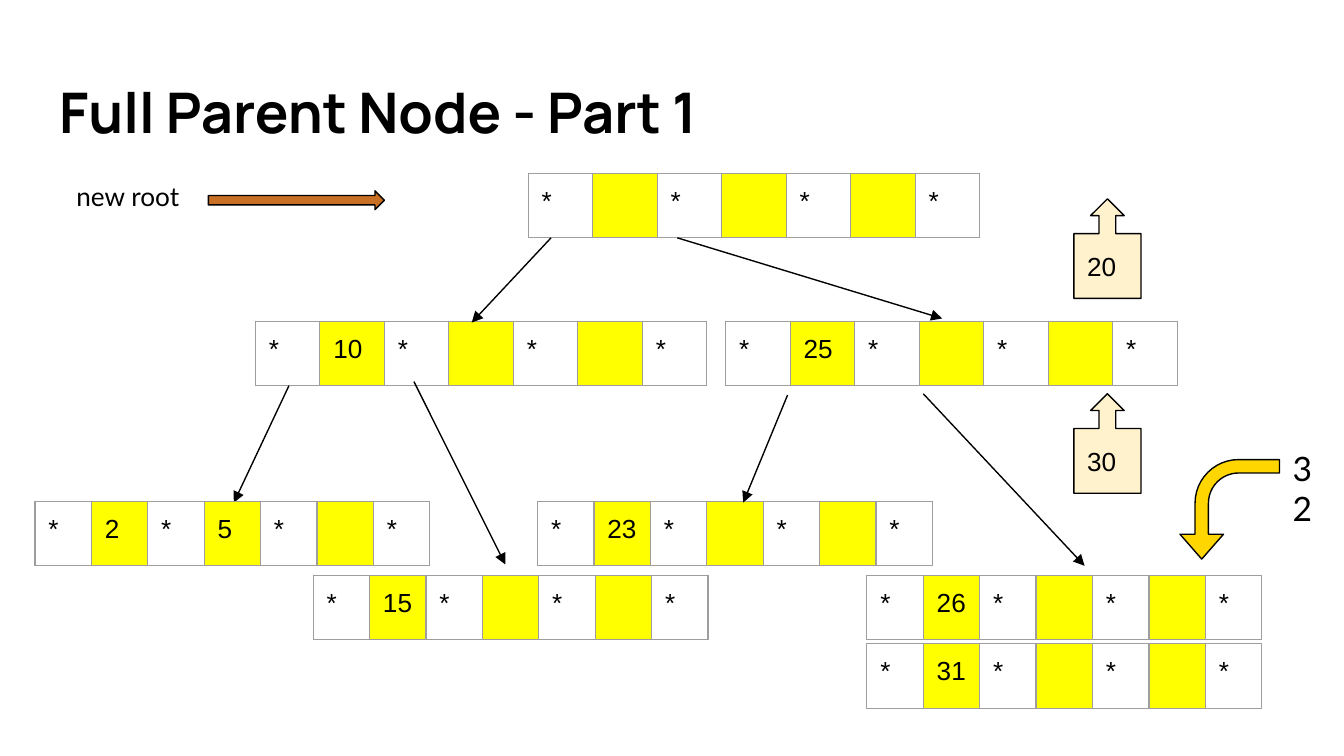
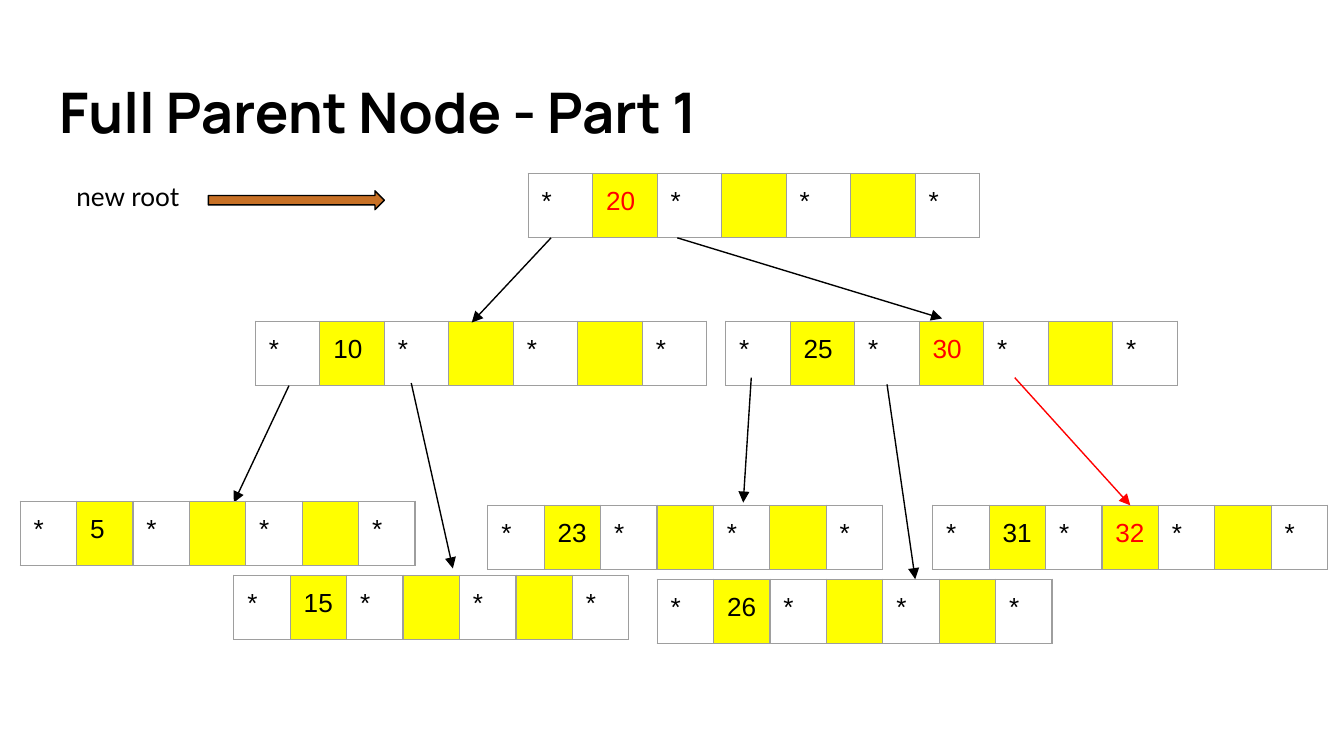
"""Build two slides that show a B-tree insertion into a full parent node."""
from lxml import etree
from pptx import Presentation
from pptx.dml.color import RGBColor
from pptx.enum.shapes import MSO_CONNECTOR, MSO_SHAPE
from pptx.enum.text import MSO_ANCHOR, MSO_AUTO_SIZE, PP_ALIGN
from pptx.oxml.ns import qn
from pptx.util import Emu, Pt

STRAIGHT = MSO_CONNECTOR.STRAIGHT
RIGHT_ARROW = MSO_SHAPE.RIGHT_ARROW
CALLOUT = MSO_SHAPE.UP_ARROW_CALLOUT
BENT_ARROW = MSO_SHAPE.BENT_ARROW
TOP, MIDDLE = MSO_ANCHOR.TOP, MSO_ANCHOR.MIDDLE
LEFT = PP_ALIGN.LEFT
NO_FIT = MSO_AUTO_SIZE.NONE

BLACK = RGBColor(0x00, 0x00, 0x00)
RED = RGBColor(0xFF, 0x00, 0x00)
YELLOW = RGBColor(0xFF, 0xFF, 0x00)
GREY = RGBColor(0x9E, 0x9E, 0x9E)
CREAM = RGBColor(0xFF, 0xF2, 0xCC)
ORANGE = RGBColor(0xC7, 0x70, 0x25)
GOLD = RGBColor(0xFF, 0xD6, 0x00)

SCALE = 9144
WIDTH = 1000
INSET = 10
ROW = 48
INNER, LEAF = 48, 42
THIN = Pt(0.75)


def px(n):
    """Turn px into EMU."""
    return Emu(n * SCALE)


def write(tf, text, size=14, font="Arial", color=BLACK, bold=False, anchor=TOP):
    """Write one left-aligned paragraph into a text frame."""
    tf.word_wrap = True
    tf.auto_size = NO_FIT
    tf.vertical_anchor = anchor
    tf.margin_left = tf.margin_right = tf.margin_top = tf.margin_bottom = px(INSET)
    p = tf.paragraphs[0]
    p.alignment = LEFT
    r = p.add_run()
    r.text = text
    r.font.size, r.font.name, r.font.bold = Pt(size), font, bold
    r.font.color.rgb = color


def border(cell):
    """Draw a thin grey line on each side of a cell."""
    tcPr = cell._tc.get_or_add_tcPr()
    for side in ("a:lnL", "a:lnR", "a:lnT", "a:lnB"):
        ln = etree.SubElement(tcPr, qn(side), w=str(int(THIN)))
        fill = etree.SubElement(ln, qn("a:solidFill"))
        etree.SubElement(fill, qn("a:srgbClr"), val=str(GREY))


class Deck:
    """Hold the presentation, its style and the current slide."""

    def __init__(self):
        """Start an empty 16:9 presentation."""
        self.prs = Presentation()
        self.prs.slide_width = px(WIDTH)
        self.prs.slide_height = px(WIDTH) * 9 // 16
        self.s = None

    def slide(self, title):
        """Add a slide with its title."""
        self.s = self.prs.slides.add_slide(self.prs.slide_layouts[5])
        sp = self.s.shapes.title
        sp.left, sp.top, sp.width, sp.height = map(px, (34, 49, 932, 68))
        write(sp.text_frame, title, size=30, font="Manrope", bold=True, anchor=MIDDLE)

    def node(self, x, y, col, keys=(), new=None):
        """Add a node of four pointers and three key cells."""
        frame = self.s.shapes.add_table(1, 7, px(x), px(y), px(7 * col), px(ROW))
        table = frame.table
        table.first_row = table.horz_banding = False
        table.rows[0].height = px(ROW)
        for i, cell in enumerate(table.rows[0].cells):
            table.columns[i].width = px(col)
            cell.margin_left = cell.margin_right = px(INSET)
            cell.margin_top = cell.margin_bottom = px(INSET)
            border(cell)
            k, is_key = divmod(i, 2)
            text = "*"
            if is_key:
                cell.fill.solid()
                cell.fill.fore_color.rgb = YELLOW
                text = keys[k] if k < len(keys) else ""
            else:
                cell.fill.background()
            p = cell.text_frame.paragraphs[0]
            if not text:
                etree.SubElement(p._p, qn("a:endParaRPr"), sz="1400")
                continue
            r = p.add_run()
            r.text = text
            r.font.size, r.font.name = Pt(14), "Arial"
            r.font.color.rgb = RED if text == new else BLACK

    def pointer(self, x1, y1, x2, y2, color=BLACK):
        """Add a straight line with an arrowhead at its end."""
        c = self.s.shapes.add_connector(STRAIGHT, px(x1), px(y1), px(x2), px(y2))
        c.line.color.rgb = color
        c.line.width = THIN
        etree.SubElement(c.line._get_or_add_ln(), qn("a:tailEnd"), type="triangle")
        etree.SubElement(c._element.spPr, qn("a:effectLst"))

    def shape(self, kind, x, y, w, h, fill, adj, text=None):
        """Add an outlined preset shape."""
        sp = self.s.shapes.add_shape(kind, px(x), px(y), px(w), px(h))
        sp.shadow.inherit = False
        sp.fill.solid()
        sp.fill.fore_color.rgb = fill
        sp.line.color.rgb = BLACK
        sp.line.width = THIN
        for i, value in enumerate(adj):
            sp.adjustments[i] = value
        if text:
            write(sp.text_frame, text, anchor=MIDDLE)
        return sp

    def label(self, text, x, y, w, h, size=14):
        """Add a text box."""
        sp = self.s.shapes.add_textbox(px(x), px(y), px(w), px(h))
        write(sp.text_frame, text, size=size, font="Lato")

    def tree(self, root=(), right=("25",), new_root=None, new_right=None):
        """Add the title and the two upper levels shared by the slides."""
        self.slide("Full Parent Node - Part 1")
        self.node(393, 129, INNER, root, new_root)
        self.node(190, 239, INNER, ("10",))
        self.node(540, 239, INNER, right, new_right)
        self.label("new root", 47, 124, 143, 53)
        self.shape(RIGHT_ARROW, 155, 142, 131, 14, ORANGE, (0.5, 0.5))
        self.pointer(410, 177, 351, 240)
        self.pointer(504, 177, 701, 237)
        self.pointer(215, 287, 174, 374)


def before(deck):
    """Show the keys on their way up."""
    deck.tree()
    for x, y, keys in ((26, 373, ("2", "5")), (233, 428, ("15",)), (400, 373, ("23",)),
                       (645, 428, ("26",)), (645, 479, ("31",))):
        deck.node(x, y, LEAF, keys)
    for ends in ((586, 294, 553, 374), (308, 284, 376, 420), (687, 293, 807, 421)):
        deck.pointer(*ends)
    for y, key in ((293, "30"), (148, "20")):
        deck.shape(CALLOUT, 799, y, 50, 74, CREAM, (0.25, 0.25, 0.25, 0.65), key)
    deck.label("32", 952, 323, 48, 45, size=18)
    sp = deck.shape(BENT_ARROW, 878, 342, 74, 74, GOLD, (0.135, 0.219, 0.25, 0.438))
    sp.rotation = 270
    sp._element.spPr.find(qn("a:xfrm")).set("flipH", "1")


def after(deck):
    """Show the tree with the new keys in place."""
    deck.tree(("20",), ("25", "30"), "20", "30")
    for x, y, keys in ((15, 373, ("5",)), (174, 428, ("15",)), (363, 376, ("23",)),
                       (489, 431, ("26",)), (694, 376, ("31", "32"))):
        deck.node(x, y, LEAF, keys, "32")
    for ends in ((559, 281, 553, 374), (306, 285, 337, 423), (660, 286, 681, 431)):
        deck.pointer(*ends)
    deck.pointer(755, 281, 841, 376, RED)


def main():
    """Build and save the deck."""
    deck = Deck()
    before(deck)
    after(deck)
    deck.prs.save("out.pptx")


if __name__ == "__main__":
    main()
